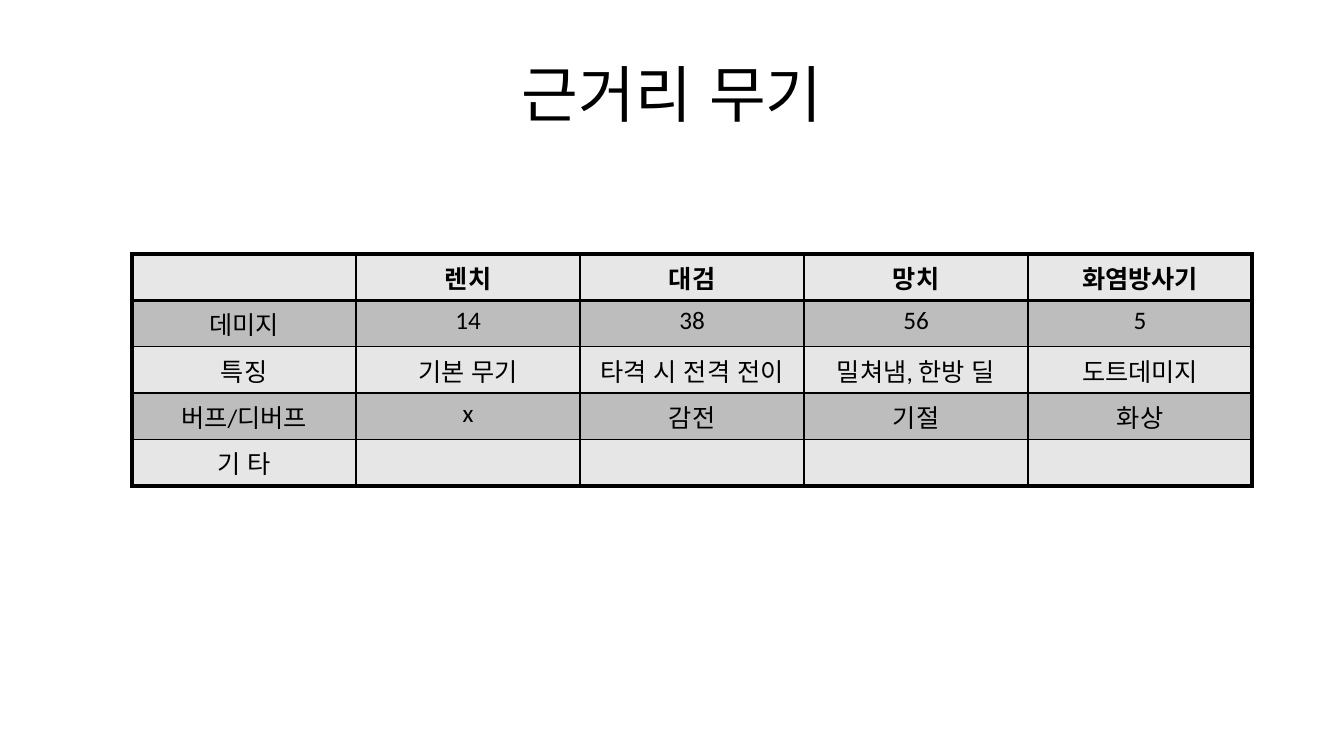
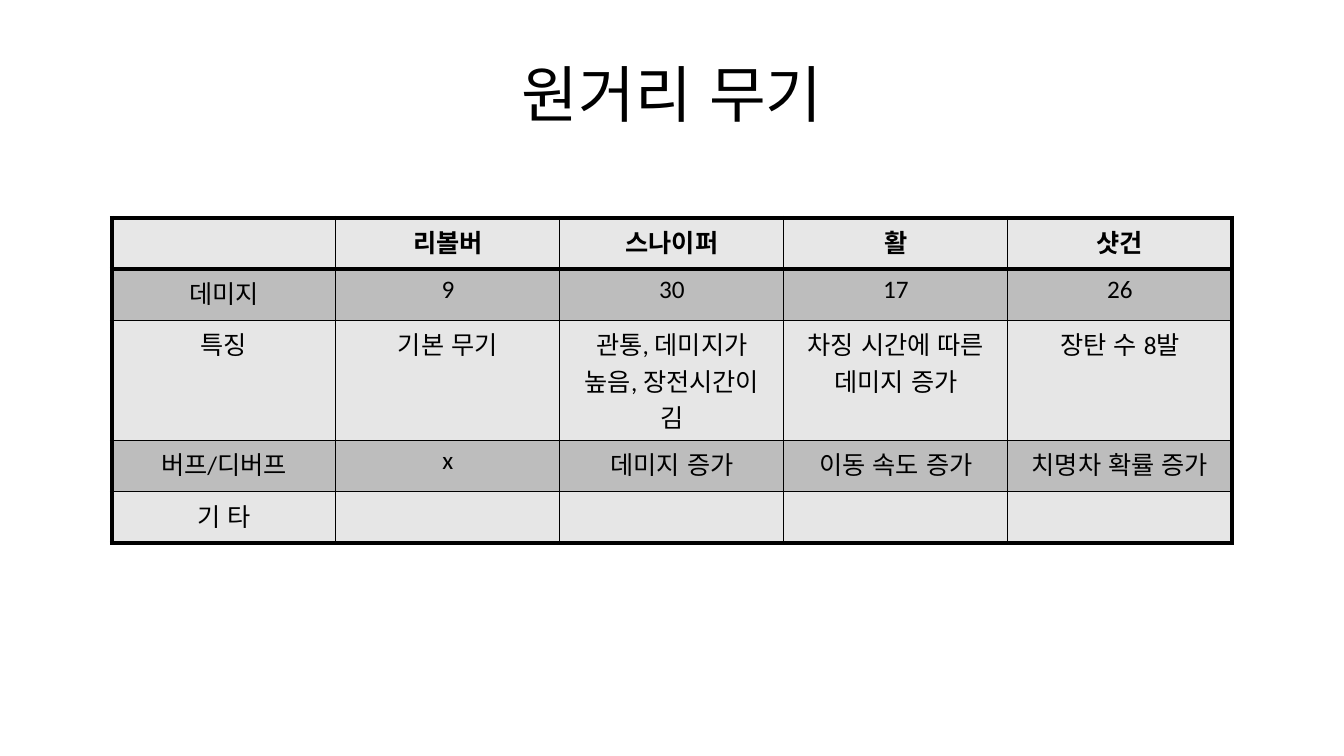
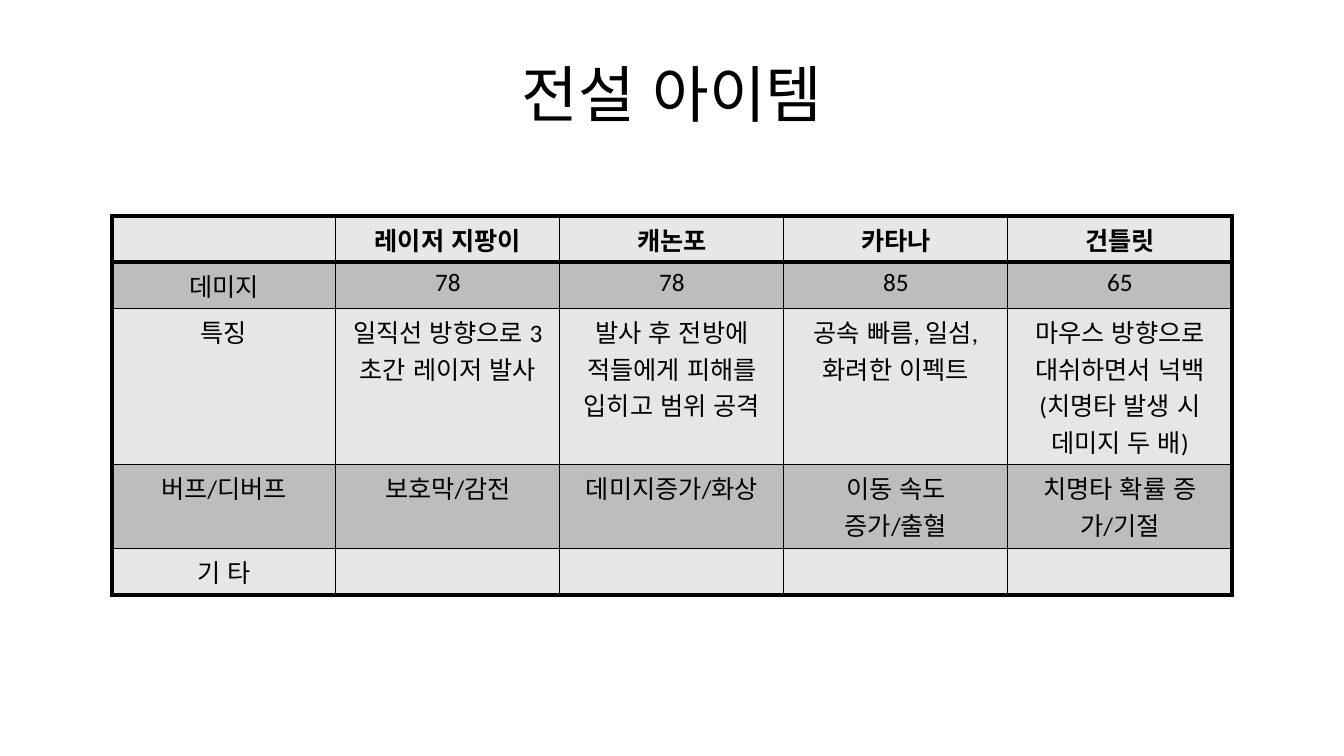
from pptx import Presentation
from pptx.dml.color import RGBColor
from pptx.enum.lang import MSO_LANGUAGE_ID
from pptx.enum.text import MSO_ANCHOR, PP_ALIGN
from pptx.oxml.ns import qn
from pptx.util import Inches, Pt
from lxml.etree import SubElement

BLACK = RGBColor(0x00, 0x00, 0x00)
HEADER_GREY = RGBColor(0xE7, 0xE7, 0xE7)
DARK_GREY = RGBColor(0xBD, 0xBD, 0xBD)
LIGHT_GREY = RGBColor(0xE6, 0xE6, 0xE6)
ROW_FILLS = [HEADER_GREY, DARK_GREY, LIGHT_GREY, DARK_GREY, LIGHT_GREY]

THIN, HEADER_LINE, OUTER = 1, 2.79, 3.15
ROW_LINES = [OUTER, HEADER_LINE, THIN, THIN, THIN, OUTER]
COL_LINES = [OUTER, THIN, THIN, THIN, THIN, OUTER]

BASE_FONT = {"name": "Calibri", "language_id": MSO_LANGUAGE_ID.KOREAN}
TITLE_FONT = {**BASE_FONT, "size": Pt(44)}
HEADER_FONT = {**BASE_FONT, "size": Pt(18), "bold": True}
BODY_FONT = {**HEADER_FONT, "bold": False}

ROW_LABELS = ["", "데미지", "특징", "버프/디버프", "기 타"]
TABLE_WIDTH = 11.11

SLIDES = [
    {
        "title": "근거리 무기",
        "left": 1.31,
        "top": 2.52,
        "heights": [0.46] * 5,
        "items": [
            ["렌치", "14", "기본 무기", "x", ""],
            ["대검", "38", "타격 시 전격 전이", "감전", ""],
            ["망치", "56", "밀쳐냄, 한방 딜", "기절", ""],
            ["화염방사기", "5", "도트데미지", "화상", ""],
        ],
    },
    {
        "title": "원거리 무기",
        "left": 1.11,
        "top": 2.16,
        "heights": [0.51, 0.51, 1.19, 0.51, 0.51],
        "items": [
            ["리볼버", "9", "기본 무기", "x", ""],
            ["스나이퍼", "30", "관통, 데미지가 높음, 장전시간이 김", "데미지 증가", ""],
            ["활", "17", "차징 시간에 따른 데미지 증가", "이동 속도 증가", ""],
            ["샷건", "26", "장탄 수 8발", "치명차 확률 증가", ""],
        ],
    },
    {
        "title": "전설 아이템",
        "left": 1.11,
        "top": 2.14,
        "heights": [0.46, 0.46, 1.55, 0.83, 0.46],
        "items": [
            ["레이저 지팡이", "78", "일직선 방향으로 3초간 레이저 발사", "보호막/감전", ""],
            ["캐논포", "78", "발사 후 전방에 적들에게 피해를 입히고 범위 공격",
             "데미지증가/화상", ""],
            ["카타나", "85", "공속 빠름, 일섬, 화려한 이펙트", "이동 속도 증가/출혈", ""],
            ["건틀릿", "65", "마우스 방향으로 대쉬하면서 넉백(치명타 발생 시 데미지 두 배)",
             "치명타 확률 증가/기절", ""],
        ],
    },
]


def write_text(tf, text, font):
    p = tf.paragraphs[0]
    p.alignment = PP_ALIGN.CENTER
    if text:
        r = p.add_run()
        r.text = text
        for name, value in font.items():
            setattr(r.font, name, value)
        r.font.color.rgb = BLACK


def add_title(s, text):
    sp = s.shapes.add_textbox(Inches(0.67), Inches(0.3), Inches(12), Inches(1.25))
    tf = sp.text_frame
    tf.word_wrap = True
    tf.vertical_anchor = MSO_ANCHOR.MIDDLE
    write_text(tf, text, TITLE_FONT)


def set_borders(cell, widths):
    tc_pr = cell._tc.get_or_add_tcPr()
    for side, width in widths.items():
        ln = SubElement(tc_pr, qn(f"a:ln{side}"), w=str(int(Pt(width))))
        fill = SubElement(ln, qn("a:solidFill"))
        SubElement(fill, qn("a:srgbClr"), val=str(BLACK))


def add_item_table(s, left, top, heights, items):
    columns = [ROW_LABELS, *items]
    frame = s.shapes.add_table(len(heights), len(columns), Inches(left), Inches(top),
                               Inches(TABLE_WIDTH), Inches(sum(heights)))
    table = frame.table
    table.first_row = False
    table.horz_banding = False
    for row, height in zip(table.rows, heights):
        row.height = Inches(height)
    for col, texts in enumerate(columns):
        for row, text in enumerate(texts):
            cell = table.cell(row, col)
            write_text(cell.text_frame, text, BODY_FONT if row else HEADER_FONT)
            set_borders(cell, {"L": COL_LINES[col], "R": COL_LINES[col + 1],
                               "T": ROW_LINES[row], "B": ROW_LINES[row + 1]})
            cell.fill.solid()
            cell.fill.fore_color.rgb = ROW_FILLS[row]


def main():
    prs = Presentation()
    prs.slide_width = Inches(13.33)
    prs.slide_height = Inches(7.5)
    for content in SLIDES:
        s = prs.slides.add_slide(prs.slide_layouts[6])
        add_title(s, content["title"])
        add_item_table(s, content["left"], content["top"],
                       content["heights"], content["items"])
    prs.save("out.pptx")


if __name__ == "__main__":
    main()
